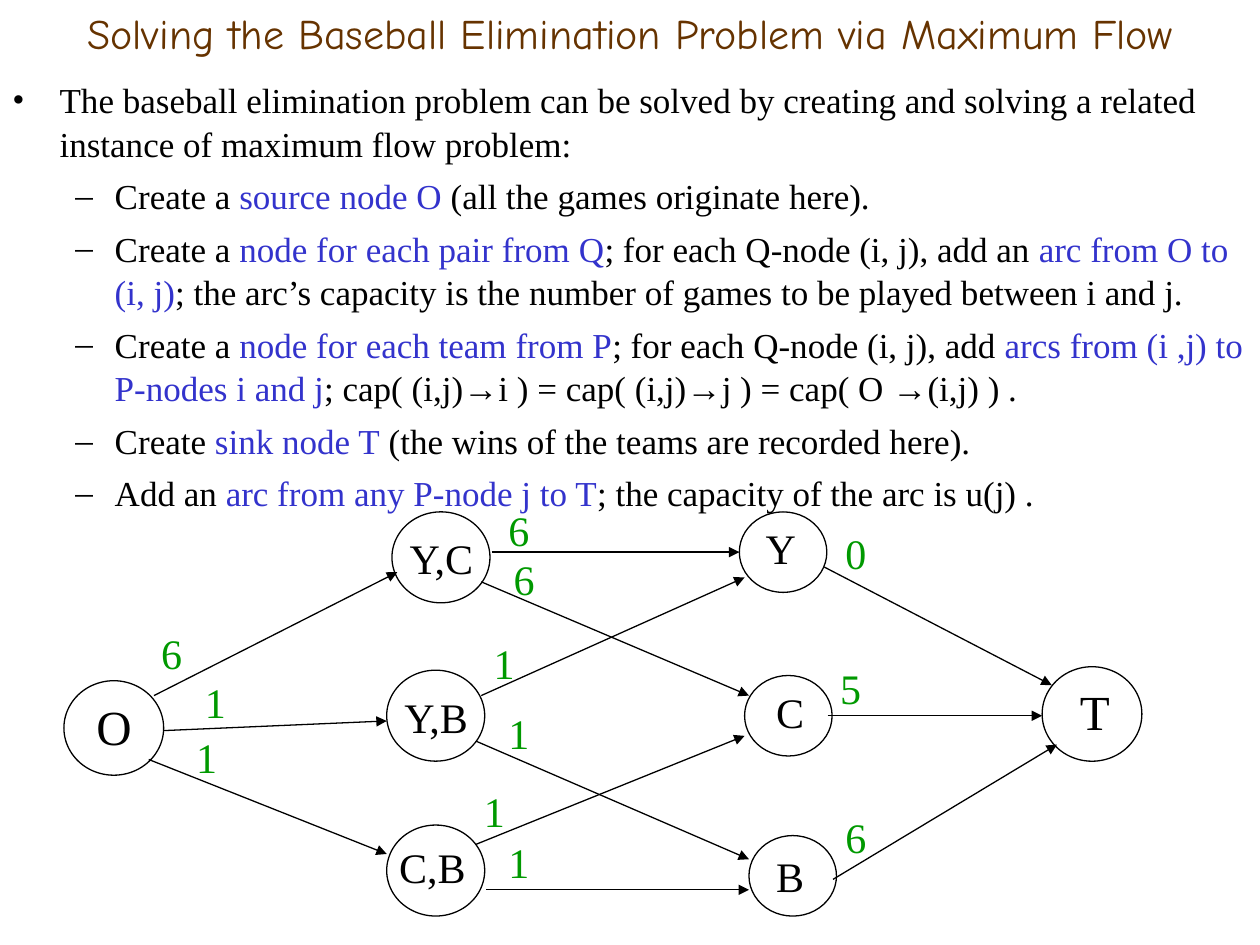
from dataclasses import dataclass

from lxml.etree import SubElement
from pptx import Presentation
from pptx.dml.color import RGBColor
from pptx.enum.shapes import MSO_CONNECTOR, MSO_SHAPE
from pptx.enum.text import MSO_ANCHOR, MSO_AUTO_SIZE, PP_ALIGN
from pptx.oxml.ns import qn
from pptx.util import Pt

SERIF = "Times New Roman"
BLACK, BROWN, BLUE, GREEN = "000000", "663300", "3333CC", "009900"


@dataclass
class Kind:
    w: float
    h: float
    text_w: float
    size: float
    filled: bool


@dataclass
class Node:
    text: str
    kind: Kind
    x: float
    y: float
    text_x: float
    text_y: float


@dataclass
class Capacity:
    text: str
    x: float
    y: float


@dataclass
class Arc:
    x1: float
    y1: float
    x2: float
    y2: float


@dataclass
class Item:
    level: int
    runs: list[str]


END = Kind(57, 54, 34, 28, False)
PAIR = Kind(56, 52, 54, 24, True)
TEAM = Kind(50, 46, 31, 24, True)

NODES = [
    Node("C,B", PAIR, 221, 471.5, 221, 477.5),
    Node("Y,B", PAIR, 221, 383, 224, 391.5),
    Node("Y,C", PAIR, 224, 292.5, 227, 301),
    Node("Y", TEAM, 422.5, 292.5, 430.5, 295),
    Node("C", TEAM, 425.5, 386, 436.5, 389),
    Node("B", TEAM, 428, 477.5, 436.5, 482.5),
    Node("O", END, 36.5, 389, 48, 394.5),
    Node("T", END, 595.5, 381, 610, 386),
]

CAPACITIES = [
    Capacity("6", 85, 355), Capacity("1", 110, 383), Capacity("1", 105, 414.5),
    Capacity("6", 283.5, 284.5), Capacity("6", 286.5, 312.5),
    Capacity("1", 275, 360.5), Capacity("1", 283.5, 400.5),
    Capacity("1", 269.5, 445.5), Capacity("1", 283.5, 474.5),
    Capacity("0", 476, 298), Capacity("5", 473, 375), Capacity("6", 476, 460),
]

ARCS = [
    Arc(88, 397.5, 227, 327), Arc(93.5, 417.5, 221, 412), Arc(85, 434, 221, 488),
    Arc(281, 315.5, 422.5, 315.5), Arc(275, 332.5, 428, 397.5),
    Arc(275, 397.5, 425.5, 330), Arc(272, 423.5, 428, 491),
    Arc(272, 482.5, 425.5, 420.5), Arc(278, 508.5, 428, 508.5),
    Arc(471, 324, 601, 391.5), Arc(473, 409, 595.5, 409), Arc(476, 502.5, 604, 425.5),
]

ITEMS = [
    Item(0, ["The baseball elimination problem can be solved by creating and "
             "solving a related instance of maximum flow problem:"]),
    Item(1, ["Create a ", "source node O", " (all the games originate here)."]),
    Item(1, ["Create a ", "node for each pair from Q",
             "; for each Q-node (i, j), add an ", "arc from O to (i, j)",
             "; the arc’s capacity is the number of games to be played between i and j."]),
    Item(1, ["Create a ", "node for each team from P",
             "; for each Q-node (i, j), add ", "arcs from (i ,j) to P-nodes i and j",
             "; cap( (i,j)→i ) = cap( (i,j)→j ) = cap( O →(i,j) ) ."]),
    Item(1, ["Create ", "sink node T", " (the wins of the teams are recorded here)."]),
    Item(1, ["Add an ", "arc from any P-node j to T", "; the capacity of the arc is u(j) ."]),
]


def rgb(color: str) -> RGBColor:
    """Turn a hex string into a colour."""
    return RGBColor.from_string(color)


def add_run(p, text: str, size: float, color: str, font: str = SERIF) -> None:
    """Append one formatted run."""
    r = p.add_run()
    r.text = text
    r.font.size = Pt(size)
    r.font.name = font
    r.font.color.rgb = rgb(color)


def set_bullet(p, char: str, left: float, hang: float) -> None:
    """Give a paragraph a black bullet and a hanging indent."""
    pPr = p._p.get_or_add_pPr()
    pPr.set("marL", str(Pt(left)))
    pPr.set("indent", str(Pt(-hang)))
    clr = SubElement(pPr, qn("a:buClr"))
    SubElement(clr, qn("a:srgbClr"), val=BLACK)
    SubElement(pPr, qn("a:buFont"), typeface=SERIF)
    SubElement(pPr, qn("a:buChar"), char=char)


def add_title(s, text: str) -> None:
    """Place and fill the title placeholder."""
    sp = s.shapes.title
    sp.left, sp.top, sp.width, sp.height = Pt(0), Pt(0), Pt(720), Pt(37.5)
    tf = sp.text_frame
    tf.vertical_anchor = MSO_ANCHOR.MIDDLE
    p = tf.paragraphs[0]
    p.alignment = PP_ALIGN.CENTER
    add_run(p, text, 24, BROWN, "Comic Neue")


def add_body(s, items: list[Item]) -> None:
    """Write the bulleted steps, with every second run highlighted."""
    tf = s.shapes.add_textbox(Pt(0), Pt(40.5), Pt(720), Pt(499.5)).text_frame
    tf.word_wrap = True
    for i, item in enumerate(items):
        p = tf.add_paragraph() if i else tf.paragraphs[0]
        p.level = item.level
        p.space_before = Pt(5)
        p.line_spacing = 1.04
        set_bullet(p, *(("•", 27, 27), ("–", 58.5, 22.5))[item.level])
        for j, text in enumerate(item.runs):
            color = BLUE if j % 2 else BLACK
            for k, part in enumerate(text.split("→")):
                if k:
                    add_run(p, "→", 20, color, "Arial")
                add_run(p, part, 20, color)


def add_label(s, text: str, x: float, y: float, w: float, size: float, color: str) -> None:
    """Add a short label that does not wrap."""
    tf = s.shapes.add_textbox(Pt(x), Pt(y), Pt(w), Pt(size * 1.2 + 7.2)).text_frame
    tf.word_wrap = False
    tf.auto_size = MSO_AUTO_SIZE.SHAPE_TO_FIT_TEXT
    add_run(tf.paragraphs[0], text, size, color)


def add_node(s, node: Node) -> None:
    """Draw a node circle and its name."""
    kind = node.kind
    sp = s.shapes.add_shape(MSO_SHAPE.OVAL, Pt(node.x), Pt(node.y), Pt(kind.w), Pt(kind.h))
    sp.shadow.inherit = False
    if kind.filled:
        sp.fill.solid()
        sp.fill.fore_color.rgb = rgb("FFFFFF")
    else:
        sp.fill.background()
    sp.line.color.rgb = rgb(BLACK)
    sp.line.width = Pt(0.74)
    add_label(s, node.text, node.text_x, node.text_y, kind.text_w, kind.size, BLACK)


def add_arc(s, arc: Arc) -> None:
    """Draw an arrow."""
    c = s.shapes.add_connector(MSO_CONNECTOR.STRAIGHT, Pt(arc.x1), Pt(arc.y1), Pt(arc.x2), Pt(arc.y2))
    c.line.color.rgb = rgb(BLACK)
    c.line.width = Pt(0.74)
    SubElement(c.line._get_or_add_ln(), qn("a:tailEnd"), type="triangle", w="med", len="med")
    SubElement(c._element.spPr, qn("a:effectLst"))


prs = Presentation()
prs.slide_width, prs.slide_height = Pt(720), Pt(540)
s = prs.slides.add_slide(prs.slide_layouts[5])
add_title(s, "Solving the Baseball Elimination Problem via Maximum Flow")
add_body(s, ITEMS)
for cap in CAPACITIES:
    add_label(s, cap.text, cap.x, cap.y, 28, 24, GREEN)
for node in NODES:
    add_node(s, node)
for arc in ARCS:
    add_arc(s, arc)
prs.save("out.pptx")
